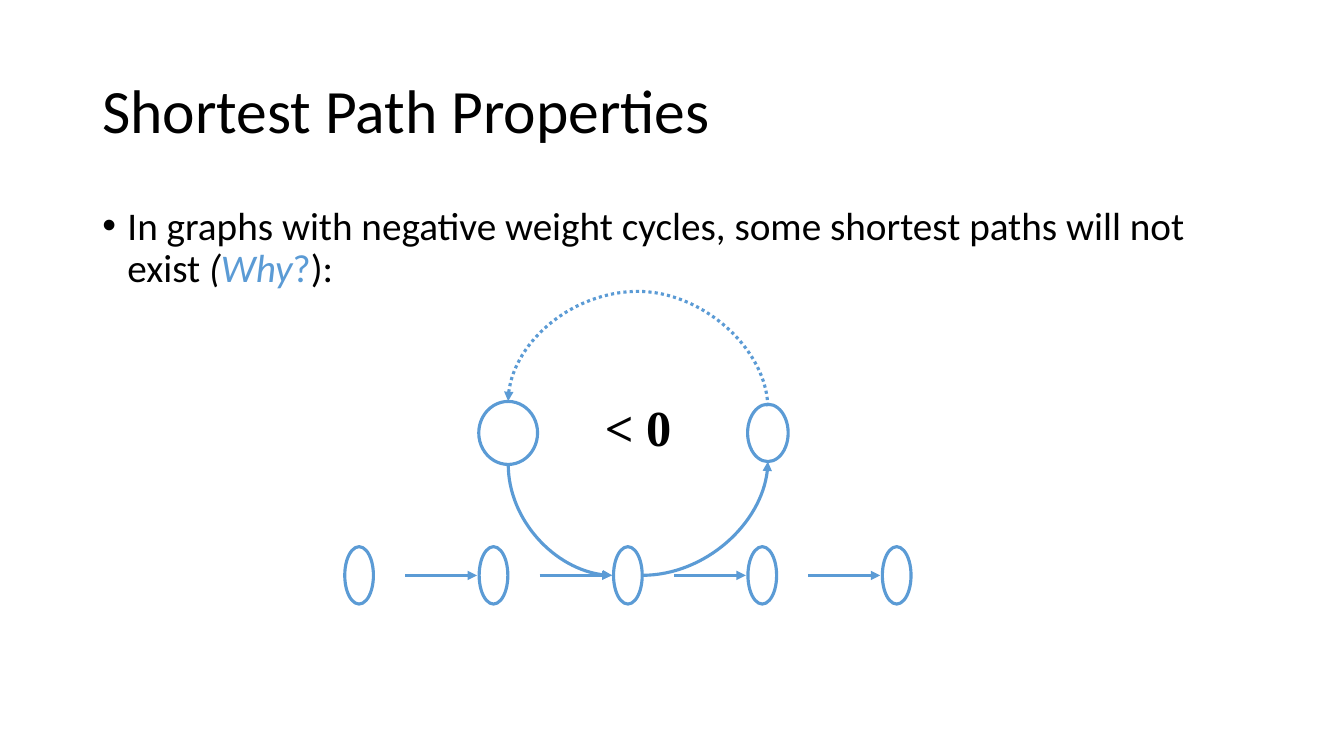
"""Builds a slide on shortest paths in graphs with negative weight cycles."""
from lxml.etree import SubElement
from pptx import Presentation
from pptx.dml.color import RGBColor
from pptx.enum.dml import MSO_LINE
from pptx.enum.shapes import MSO_CONNECTOR, MSO_SHAPE
from pptx.enum.text import MSO_ANCHOR, PP_ALIGN
from pptx.oxml.ns import qn
from pptx.util import Pt

BLACK, BLUE, WHITE = "000000", "5B9BD5", "FFFFFF"
TITLE = [("Shortest Path Properties", BLACK, False)]
BODY = [
    ("In graphs with negative weight cycles, some shortest paths will not exist ", BLACK, False),
    ("(", BLACK, True),
    ("Why", BLUE, True),
    ("?", BLUE, False),
    ("):", BLACK, False),
]
CYCLE_WEIGHT = [("< 0", BLACK, False)]

NODE_COUNT, NODE_STEP = 5, 96
NODE_LEFT, NODE_TOP, NODE_WIDTH, NODE_HEIGHT = 246.25, 390.5, 20.5, 41
ARROW_START, ARROW_END = 43.25, 94.5
CYCLE_LEFT = (342, 286.75, 42, 45)
CYCLE_RIGHT = (534, 288.75, 29, 41)
ARC_BEND = -1494500


def colour(hex_code):
    return RGBColor.from_string(hex_code)


def add_text(page, bounds, spans, size, font="Calibri", bold=False):
    box = page.shapes.add_textbox(*map(Pt, bounds))
    frame = box.text_frame
    frame.word_wrap = True
    para = frame.paragraphs[0]
    for text, hex_code, italic in spans:
        span = para.add_run()
        span.text = text
        span.font.name, span.font.size = font, Pt(size)
        span.font.bold, span.font.italic = bold, italic
        span.font.color.rgb = colour(hex_code)
    return frame, para


def draw_line(shape):
    shape.line.color.rgb = colour(BLUE)
    shape.line.width = Pt(2.25)


def add_node(page, bounds):
    node = page.shapes.add_shape(MSO_SHAPE.OVAL, *map(Pt, bounds))
    node.shadow.inherit = False
    node.fill.solid()
    node.fill.fore_color.rgb = colour(WHITE)
    draw_line(node)


def add_edge(page, start, end, kind=MSO_CONNECTOR.STRAIGHT, arrow="tailEnd", dash=None):
    edge = page.shapes.add_connector(kind, *map(Pt, start + end))
    draw_line(edge)
    if dash:
        edge.line.dash_style = dash
    SubElement(edge.line._get_or_add_ln(), qn("a:" + arrow), type="triangle")
    properties = edge._element.spPr
    SubElement(properties, qn("a:effectLst"))
    return properties


def add_curve(page, start, end, preset="curvedConnector2", turned=False, bend=None, **look):
    if turned:
        middle_x, middle_y = (start[0] + end[0]) / 2, (start[1] + end[1]) / 2
        half_x, half_y = (end[0] - start[0]) / 2, (end[1] - start[1]) / 2
        start = (middle_x + half_y, middle_y - half_x)
        end = (middle_x - half_y, middle_y + half_x)
    properties = add_edge(page, start, end, MSO_CONNECTOR.CURVE, **look)
    if turned:
        properties.find(qn("a:xfrm")).set("rot", str(270 * 60000))
    geometry = properties.find(qn("a:prstGeom"))
    geometry.set("prst", preset)
    if bend:
        guides = geometry.find(qn("a:avLst"))
        SubElement(guides, qn("a:gd"), name="adj1", fmla=f"val {bend}")


def main():
    deck = Presentation()
    deck.slide_width, deck.slide_height = Pt(960), Pt(540)
    page = deck.slides.add_slide(deck.slide_layouts[6])

    frame, para = add_text(page, (66, 28.75, 828, 104.5), TITLE, 44)
    frame.vertical_anchor = MSO_ANCHOR.MIDDLE
    para.line_spacing = 0.9

    frame, para = add_text(page, (66, 143.75, 828, 342.5), BODY, 28)
    para.line_spacing, para.space_before = 0.9, Pt(10)
    settings = para._p.get_or_add_pPr()
    settings.set("marL", str(Pt(18)))
    settings.set("indent", str(-Pt(18)))
    SubElement(settings, qn("a:buFont"), typeface="Arial")
    SubElement(settings, qn("a:buChar"), char="•")

    row_y = NODE_TOP + NODE_HEIGHT / 2
    for index in range(NODE_COUNT):
        left = NODE_LEFT + index * NODE_STEP
        add_node(page, (left, NODE_TOP, NODE_WIDTH, NODE_HEIGHT))
        if index < NODE_COUNT - 1:
            add_edge(page, (left + ARROW_START, row_y), (left + ARROW_END, row_y))
    for bounds in (CYCLE_LEFT, CYCLE_RIGHT):
        add_node(page, bounds)

    left_x, right_x = (x + width / 2 for x, _, width, _ in (CYCLE_LEFT, CYCLE_RIGHT))
    left_top, left_bottom = CYCLE_LEFT[1] - 0.25, CYCLE_LEFT[1] + CYCLE_LEFT[3]
    right_bottom = CYCLE_RIGHT[1] + CYCLE_RIGHT[3]
    middle_left = NODE_LEFT + 2 * NODE_STEP
    add_curve(page, (middle_left + NODE_WIDTH, row_y), (right_x, right_bottom))
    add_curve(page, (left_x, left_bottom), (middle_left - 1, row_y), turned=True)
    add_curve(page, (left_x, left_top), (right_x, left_top + 5.25), "curvedConnector3",
              turned=True, bend=ARC_BEND, arrow="headEnd", dash=MSO_LINE.ROUND_DOT)

    frame, para = add_text(page, (424.75, 279.5, 62, 50.5), CYCLE_WEIGHT, 36,
                           "Times New Roman", bold=True)
    frame.word_wrap = False
    para.alignment = PP_ALIGN.CENTER
    deck.save("out.pptx")


if __name__ == "__main__":
    main()
